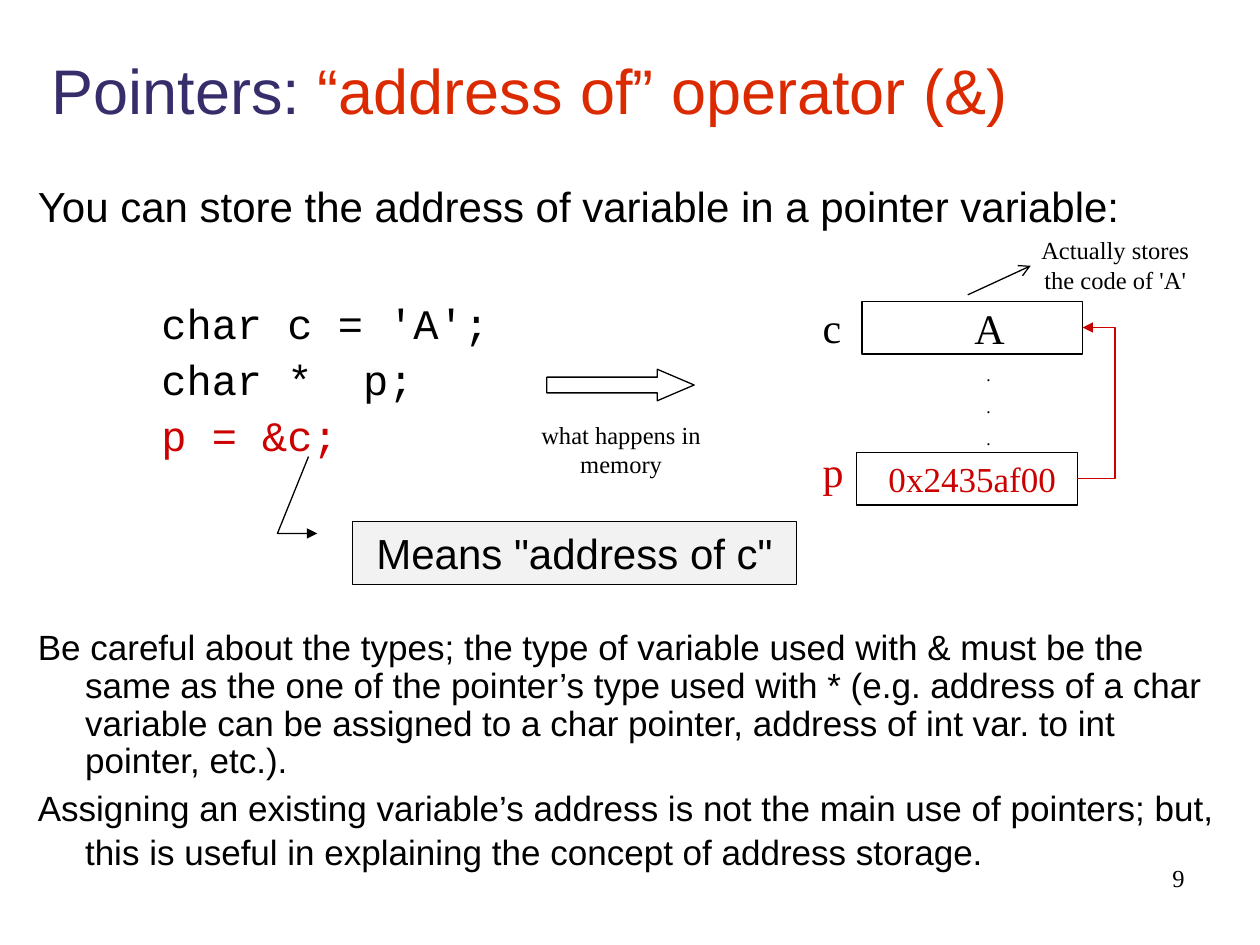
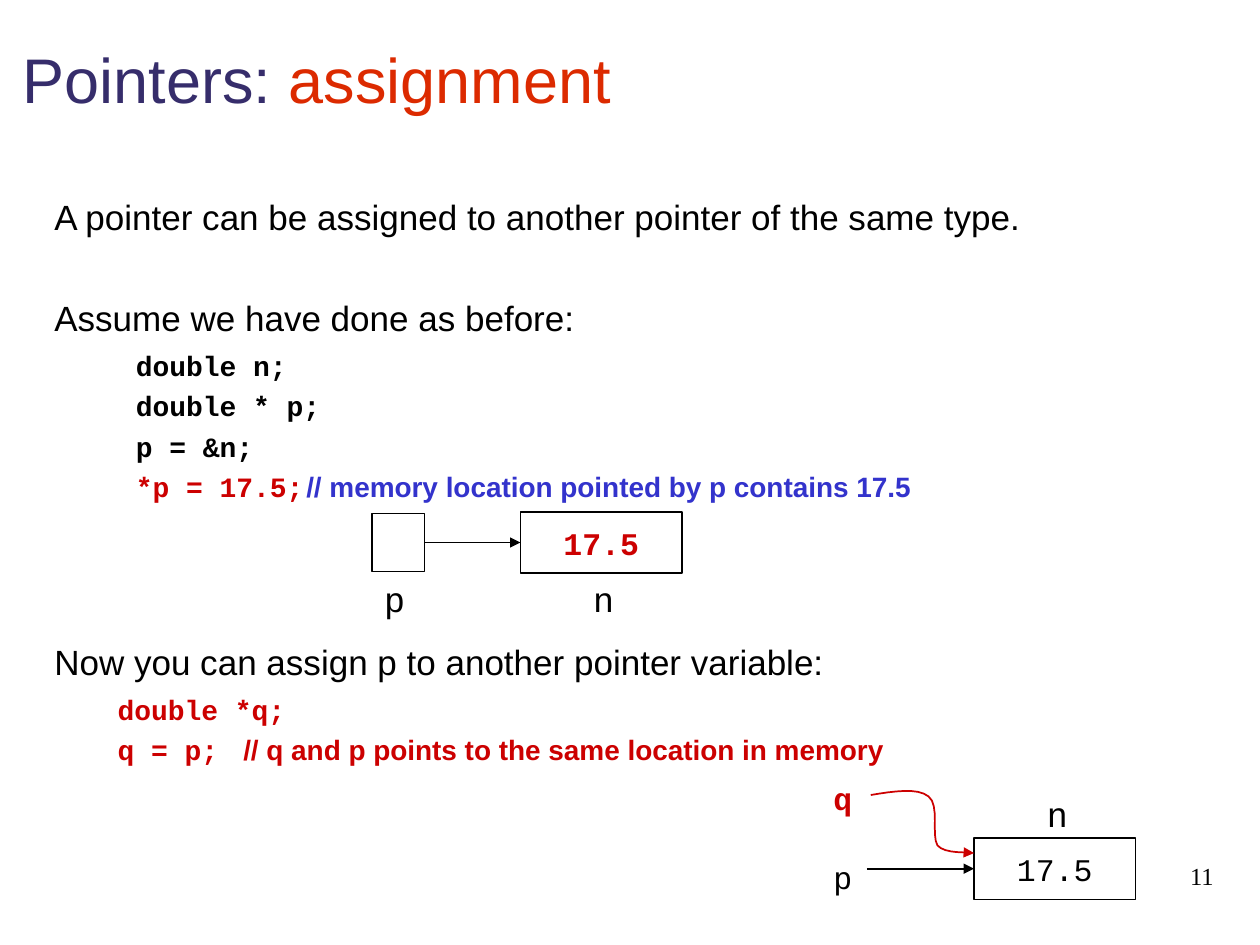
from pptx import Presentation
from pptx.dml.color import RGBColor as Rgb
from pptx.enum.shapes import MSO_CONNECTOR as Con, MSO_SHAPE as Geo
from pptx.enum.text import MSO_ANCHOR as Anc, MSO_AUTO_SIZE as Fit, PP_ALIGN as Al
from pptx.oxml.ns import qn
from pptx.util import Pt
from lxml.etree import SubElement as Sub

HUE = {"ink": "000000", "navy": "362D6B", "orange": "DC2A00",
       "red": "CC0000", "blue": "3333CC", "gray": "F2F2F2", "white": "FFFFFF"}
SANS, MONO, SERIF = "Arial", "Courier New", "Times New Roman"
TITLE = {"name": SANS, "size": Pt(36)}


def rgb(hue):
    return Rgb.from_string(HUE[hue])


def apply(item, form):
    for key, val in form.items():
        setattr(item, key, val)


def face(name, size, bold=False):
    return {"name": name, "size": Pt(size), "bold": bold}


def add_run(para, text, hue, form):
    run = para.add_run()
    run.text = text
    apply(run.font, form)
    run.font.color.rgb = rgb(hue)


def place(item, box):
    for key, val in zip(("left", "top", "width", "height"), box):
        setattr(item, key, Pt(val))


def write(shape, text, hue, form, align=Al.CENTER, gap=0, wrap=True):
    """Fill a shape with one paragraph per line of text."""
    frame = shape.text_frame
    frame.word_wrap = wrap
    for i, line in enumerate(text.split("\n")):
        para = frame.add_paragraph() if i else frame.paragraphs[0]
        para.alignment = align
        if i:
            para.space_before = Pt(gap)
        add_run(para, line, hue, form)


def add_text(slide, box, text, hue, form, **rest):
    shape = slide.shapes.add_textbox(*map(Pt, box))
    write(shape, text, hue, form, **rest)


def outline(shape, hue, width, **ends):
    """Colour a line; ends maps headEnd or tailEnd to an arrow type."""
    shape.line.color.rgb = rgb(hue)
    shape.line.width = Pt(width)
    line = shape.element.spPr.find(qn("a:ln"))
    for end, kind in ends.items():
        Sub(line, qn("a:" + end)).set("type", kind)


def add_box(slide, box, geo=Geo.RECTANGLE, fill=None, width=0.75, **ends):
    shape = slide.shapes.add_shape(geo, *map(Pt, box))
    shape.shadow.inherit = False
    if fill:
        shape.fill.solid()
        shape.fill.fore_color.rgb = rgb(fill)
    else:
        shape.fill.background()
    outline(shape, "ink", width, **ends)
    return shape


def add_line(slide, start, end, hue="ink", width=0.75, kind=Con.STRAIGHT, tip="triangle"):
    line = slide.shapes.add_connector(kind, *map(Pt, start + end))
    outline(line, hue, width, tailEnd=tip)
    Sub(line.element.spPr, qn("a:effectLst"))
    return line


def add_title(slide, box, topic):
    title = slide.shapes.title
    place(title, box)
    frame = title.text_frame
    apply(frame, {"vertical_anchor": Anc.MIDDLE, "auto_size": Fit.NONE, "word_wrap": True})
    para = frame.paragraphs[0]
    para.alignment = Al.LEFT
    add_run(para, "Pointers: ", "navy", TITLE)
    add_run(para, topic, "orange", TITLE)


def add_body(slide, box, rows, inset=3.6):
    """Each row: space before, line height, margin, first indent, tab, runs."""
    body = slide.placeholders[1]
    place(body, box)
    frame = body.text_frame
    apply(frame, {"auto_size": Fit.NONE, "word_wrap": True, "margin_top": Pt(inset),
                  "vertical_anchor": Anc.TOP})
    for i, (gap, high, left, first, tab, runs) in enumerate(rows):
        para = frame.add_paragraph() if i else frame.paragraphs[0]
        props = para._p.get_or_add_pPr()
        props.set("marL", str(Pt(left)))
        props.set("indent", str(Pt(first)))
        Sub(props, qn("a:buNone"))
        if tab:
            stop = Sub(Sub(props, qn("a:tabLst")), qn("a:tab"))
            stop.set("pos", str(Pt(tab)))
            stop.set("algn", "l")
        apply(para, {"alignment": Al.LEFT, "line_spacing": Pt(high), "space_before": Pt(gap)})
        for run in runs:
            add_run(para, *run)


def add_number(slide, x, y, text):
    add_text(slide, (x, y, 150, 36), text, "ink", face(SERIF, 14), align=Al.RIGHT)


def prose(gap, high, text, size):
    return gap, high, 27, -27, None, [(text, "ink", face(SANS, size))]


def code(gap, high, first, text, hue, form, tab=None, note=None):
    runs = [(text + ("\t" if note else ""), hue, form)]
    if note:
        runs.append((*note, face(SANS, 16, True)))
    return gap, high, 0, first, tab, runs


def memory(slide, x, y):
    """Variables c and p in memory, with p pointing back to c."""
    big = face(SERIF, 24)
    cells = (("c", "A", 29.5, 3.6, 27, "ink", 24), ("p", "0x2435af00", 26.6, 90, 13, "red", 20))
    for i, (name, value, left, top, inset, hue, size) in enumerate(cells):
        add_text(slide, (x, y + 82.8 * i, 30, 35), name, hue, big, align=Al.LEFT)
        cell = add_box(slide, (x + left, y + top, 126, 30.2))
        apply(cell.text_frame, {"margin_left": Pt(inset), "margin_top": 0, "margin_bottom": 0})
        write(cell, value, hue, face(SERIF, size))
    add_text(slide, (x + 90, y + 36, 23.8, 56), ".\n.\n.", "ink", face(SERIF, 10), gap=6.2)
    link = add_line(slide, (x + 152.6, y + 105.1), (x + 155.6, y + 18.7), "red",
                    kind=Con.ELBOW)
    shape = link.element.spPr.find(qn("a:prstGeom"))
    adjust = shape.find(qn("a:avLst"))
    guide = Sub(adjust, qn("a:gd"))
    guide.set("name", "adj1")
    guide.set("fmla", "val 720000")
    add_line(slide, (x + 90, y), (x + 126, y - 16.6), tip="arrow")
    add_text(slide, (x + 116, y - 37.5, 116.6, 41), "Actually stores the code of 'A'",
             "ink", face(SERIF, 14))


def step(slide, x, y):
    """Block arrow with its caption."""
    arrow = add_box(slide, (x + 35.3, y, 84.2, 18), Geo.RIGHT_ARROW)
    arrow.adjustments[0] = 0.5
    arrow.adjustments[1] = 1.17
    add_text(slide, (x, y + 25.2, 155.5, 24.5), "what happens in memory", "ink",
             face(SERIF, 14), wrap=False)


def callout(slide, box):
    shape = add_box(slide, box, Geo.LINE_CALLOUT_2, "gray", headEnd="triangle")
    for i, val in enumerate((0.19, -0.08, 0.19, -0.17, -1.03, -0.1)):
        shape.adjustments[i] = val
    write(shape, 'Means "address of c"', "ink", face(SANS, 24))


def number_cell(slide, x, y, hue, bold):
    cell = add_box(slide, (x, y, 92.2, 35.2), fill="white", width=1)
    write(cell, "17.5", hue, face(MONO, 18, bold), wrap=False)
    return cell


def name_tag(slide, x, y, text, hue="ink", size=20, bold=False):
    add_text(slide, (x, y, 26, 32), text, hue, face(MONO, size, bold), wrap=False)


def one_link(slide, x, y):
    """Pointer p, an empty cell, linked to the cell of n."""
    cell = add_box(slide, (x, y + 1, 30.2, 33.2), fill="white", width=1)
    goal = number_cell(slide, x + 85, y, "red", True)
    link = add_line(slide, (x + 30.2, y + 17.6), (x + 85, y + 17.6), width=1)
    link.begin_connect(cell, 3)
    link.end_connect(goal, 1)
    for left, name in ((0, "p"), (119.5, "n")):
        name_tag(slide, x + left, y + 33.8, name)


def curve(points, steps=8):
    """Points along joined cubic Bezier arcs."""
    out = [points[0]]
    for i in range(0, len(points) - 1, 3):
        for k in range(1, steps + 1):
            t = k / steps
            parts = ((1 - t) ** 3, 3 * t * (1 - t) ** 2, 3 * t * t * (1 - t), t ** 3)
            out.append(tuple(sum(w * pt[axis] for w, pt in zip(parts, points[i:i + 4]))
                             for axis in (0, 1)))
    return out


def two_links(slide, x, y):
    """Pointers q and p, both linked to the cell of n."""
    name_tag(slide, x + 2, y + 3, "q", "red", 18, True)
    name_tag(slide, x + 2, y + 48.5, "p", size=18)
    name_tag(slide, x + 124.5, y + 10.8, "n")
    goal = number_cell(slide, x + 90, y + 40.3, "ink", False)
    link = add_line(slide, (x + 28.8, y + 57.9), (x + 90, y + 57.9), width=1)
    link.end_connect(goal, 1)
    bends = ((31, 15.8), (44, 13.7), (57.6, 11.5), (64, 16.6), (70.5, 21.6),
             (65.5, 38.9), (69.1, 44.6), (73.4, 49.7), (86.4, 48.2), (90, 49))
    dots = [(Pt(x + a), Pt(y + b)) for a, b in curve(bends)]
    draft = slide.shapes.build_freeform(*dots[0])
    draft.add_line_segments(dots[1:], close=False)
    bend = draft.convert_to_shape()
    bend.shadow.inherit = False
    bend.fill.background()
    outline(bend, "red", 1, tailEnd="triangle")


def address_slide(slide):
    add_title(slide, (22.3, 12.2, 697.7, 77.8), "“address of” operator (&)")
    mono = face(MONO, 24)
    add_body(slide, (14.4, 102.2, 692, 423.4), [
        prose(0, 26.2, "You can store the address of variable in a pointer variable:", 24),
        code(41.6, 25, 70.6, "char c = 'A';", "ink", mono),
        code(7, 25, 70.6, "char *  p;", "ink", mono),
        code(7, 25, 70.6, "p = &c;", "red", mono),
        prose(97.5, 21.5, "Be careful about the types; the type of variable used with & must be "
              "the same as the one of the pointer’s type used with * (e.g. address of a char "
              "variable can be assigned to a char pointer, address of int var. to int "
              "pointer, etc.).", 20),
        prose(2.4, 25, "Assigning an existing variable’s address is not the main use of "
              "pointers; but, this is useful in explaining the concept of address storage.", 20)])
    memory(slide, 463, 168.5)
    step(slide, 277.2, 211)
    callout(slide, (201.6, 298, 253.4, 36))
    add_number(slide, 534, 489.6, "9")


def assign_slide(slide):
    add_title(slide, (5.8, 12.2, 637.2, 65.5), "assignment")
    mono = face(MONO, 16, True)
    add_body(slide, (23.8, 83.5, 676.8, 388), [
        prose(0, 23, "A pointer can be assigned to another pointer of the same type.", 20),
        prose(34.7, 23, "Assume we have done as before:", 20),
        code(6.3, 18.2, 46.6, "double n;", "ink", mono),
        code(5, 18.2, 46.6, "double * p;", "ink", mono),
        code(5, 18.2, 46.6, "p = &n;", "ink", mono),
        code(5, 18.2, 46.6, "*p = 17.5;", "red", mono, 274.7,
             ("// memory location pointed by p contains 17.5", "blue")),
        prose(79.6, 23, "Now you can assign p to another pointer variable:", 20),
        code(6.3, 18.2, 36.2, "double *q;", "red", mono),
        code(5, 18.2, 36.2, "q = p;", "red", mono, 202.7,
             ("// q and p points to the same location in memory", "red"))], 29.4)
    one_link(slide, 212.4, 292.4)
    two_links(slide, 466.6, 438.5)
    add_number(slide, 550.6, 488.2, "11")


def main():
    deck = Presentation()
    deck.slide_width, deck.slide_height = Pt(720), Pt(540)
    for build in (address_slide, assign_slide):
        build(deck.slides.add_slide(deck.slide_layouts[1]))
    deck.save("out.pptx")


if __name__ == "__main__":
    main()
